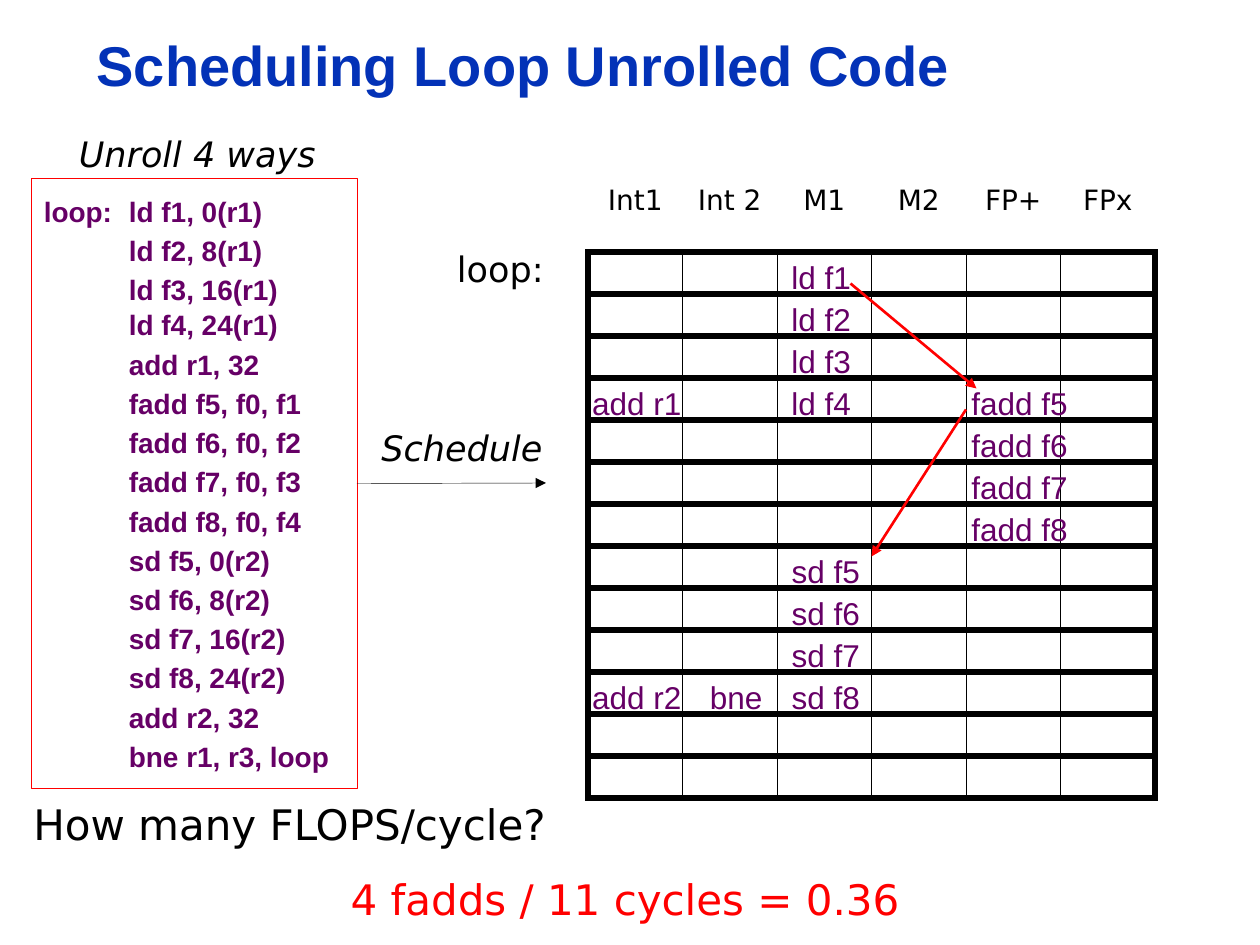
import pptx
import pptx.util
import pptx.dml.color
import pptx.enum.shapes
import pptx.enum.text
import pptx.oxml
import pptx.oxml.ns

RGBColor = pptx.dml.color.RGBColor
BLUE = RGBColor(0x03, 0x32, 0xB7)
PLUM = RGBColor(0x66, 0x00, 0x66)
RED = RGBColor(0xFF, 0x00, 0x00)
BLACK = RGBColor(0x00, 0x00, 0x00)
SANS = "DejaVu Sans"
Pt = pptx.util.Pt
RECT = pptx.enum.shapes.MSO_SHAPE.RECTANGLE
ALIGN = pptx.enum.text.PP_ALIGN
ANCHOR = pptx.enum.text.MSO_ANCHOR
FIT = pptx.enum.text.MSO_AUTO_SIZE

deck = pptx.Presentation()
deck.slide_width = pptx.util.Inches(10)
deck.slide_height = pptx.util.Inches(7.5)
UNIT = deck.slide_width // 120  # the slide is a grid of 120 by 90 units
slide = deck.slides.add_slide(deck.slide_layouts[5])
shapes = slide.shapes


def write(para, text, size, color, face="Arial", bold=False, slant=False):
    run = para.add_run()
    run.text = text
    font = run.font
    font.name, font.size, font.bold, font.italic = face, Pt(size), bold, slant
    font.color.rgb = color


def arrow(x1, y1, x2, y2, color, width):
    ends = [round(n * UNIT) for n in (x1, y1, x2, y2)]
    line = shapes.add_connector(pptx.enum.shapes.MSO_CONNECTOR.STRAIGHT, *ends)
    line.line.color.rgb = color
    line.line.width = Pt(width)
    tail = pptx.oxml.parse_xml(
        '<a:tailEnd %s type="triangle"/>' % pptx.oxml.ns.nsdecls("a"))
    line.line._get_or_add_ln().append(tail)
    props = line._element.spPr
    props.append(props.makeelement(pptx.oxml.ns.qn("a:effectLst"), {}))
    return line


# Title
title = shapes.title
title.left, title.top = 8 * UNIT, -1 * UNIT
title.width, title.height = 98 * UNIT, 15 * UNIT
title.text_frame.auto_size = FIT.NONE
title.text_frame.vertical_anchor = ANCHOR.MIDDLE
para = title.text_frame.paragraphs[0]
para.alignment = ALIGN.LEFT
para.line_spacing = 0.9
write(para, "Scheduling Loop Unrolled Code", 32, BLUE, bold=True)

# Unrolled code
CODE = ["ld f1, 0(r1)", "ld f2, 8(r1)", "ld f3, 16(r1)", "ld f4, 24(r1)",
        "add r1, 32",
        "fadd f5, f0, f1", "fadd f6, f0, f2", "fadd f7, f0, f3", "fadd f8, f0, f4",
        "sd f5, 0(r2)", "sd f6, 8(r2)", "sd f7, 16(r2)", "sd f8, 24(r2)",
        "add r2, 32", "bne r1, r3, loop"]
code = shapes.add_shape(RECT, 3 * UNIT, 17 * UNIT, 31 * UNIT, round(58.1 * UNIT))
code.shadow.inherit = False
code.fill.background()
code.line.color.rgb = RED
code.line.width = Pt(0.25)
frame = code.text_frame
frame.vertical_anchor = ANCHOR.MIDDLE
for i, text in enumerate(CODE):
    para = frame.paragraphs[0] if i == 0 else frame.add_paragraph()
    para.alignment = ALIGN.LEFT
    para.space_before = Pt(3.2)
    if text.startswith("ld f4"):
        para.line_spacing = 0.9
    props = para._p.get_or_add_pPr()
    props.set("marL", str(round(8.1 * UNIT)))
    if i == 0:  # the loop label hangs left of the code
        props.set("indent", str(round(-8.1 * UNIT)))
        text = "loop:\t" + text
    write(para, text, 16, PLUM, bold=True)

# Schedule grid: thin cells, thick frame around each row
LEFT, TOP, WIDE, HIGH = 56, 24, 9, 4
HEADS = ["Int1", "Int 2", "M1", "M2", "FP+", "FPx"]
for row in range(13):
    group = shapes.add_group_shape()
    spans = [(col, 1, 0.25) for col in range(len(HEADS))] + [(0, len(HEADS), 3)]
    for col, span, width in spans:
        cell = group.shapes.add_shape(
            RECT, (LEFT + col * WIDE) * UNIT, (TOP + row * HIGH) * UNIT,
            span * WIDE * UNIT, HIGH * UNIT)
        cell.shadow.inherit = False
        cell.fill.background()
        cell.line.color.rgb = BLACK
        cell.line.width = Pt(width)
        edge = cell.line._get_or_add_ln()  # square corners
        edge.append(edge.makeelement(pptx.oxml.ns.qn("a:miter"), {"lim": "800000"}))

# Labels: text, left, top, width, height, size, color, face, slant
labels = [
    ("Schedule", 35, 40, 18, 5.2, 20, BLACK, SANS, True),
    ("loop:", 42.2, 23, 10.9, 5.2, 20, BLACK, SANS, False),
    ("Unroll 4 ways", 6.2, 12, 25.2, 5.2, 20, BLACK, SANS, True),
    ("How many FLOPS/cycle?", 2, 76, 97, 5.5, 24, BLACK, SANS, False),
    ("4 fadds / 11 cycles = 0.36", 31.7, 82.6, 55.7, 6, 24, RED, SANS, False),
]
for col, head in enumerate(HEADS):
    labels.append((head, LEFT + col * WIDE, 17, WIDE, HIGH, 16, BLACK, SANS, False))

# Scheduled instructions: left and width by kind, then row by row
SLOTS = {"ld": (74, 8.4), "sd": (74.2, 8.9), "add": (55.2, 10.9),
         "fadd": (91.3, 11.6), "bne": (66.4, 7.4)}
PLAN = [["ld f1"], ["ld f2"], ["ld f3"], ["ld f4", "add r1", "fadd f5"],
        ["fadd f6"], ["fadd f7"], ["fadd f8"],
        ["sd f5"], ["sd f6"], ["sd f7"], ["sd f8", "add r2", "bne"]]
for row, ops in enumerate(PLAN):
    for text in ops:
        left, wide = SLOTS[text.split()[0]]
        labels.append((text, left, TOP + row * HIGH, wide, 4.8, 18, PLUM, "Arial", False))

for text, left, top, wide, high, size, color, face, slant in labels:
    box = shapes.add_textbox(*[round(n * UNIT) for n in (left, top, wide, high)])
    frame = box.text_frame
    asks = text.endswith("?")
    frame.word_wrap = asks or text == "Schedule"
    frame.auto_size = FIT.NONE if text in HEADS else FIT.SHAPE_TO_FIT_TEXT
    frame.vertical_anchor = ANCHOR.TOP if size == 18 or color == RED else ANCHOR.MIDDLE
    para = frame.paragraphs[0]
    para.alignment = ALIGN.LEFT if asks else ALIGN.CENTER
    if asks:
        para.line_spacing = 0.9
    write(para, text, size, color, face, slant=slant)

# Arrows
flow = arrow(34, 46, 52, 46, BLACK, 0.25)
flow.begin_connect(code, 3)
arrow(81, 27, 93, 37, RED, 1.5)
arrow(92, 39, 83, 53, RED, 1.5)

deck.save("out.pptx")
